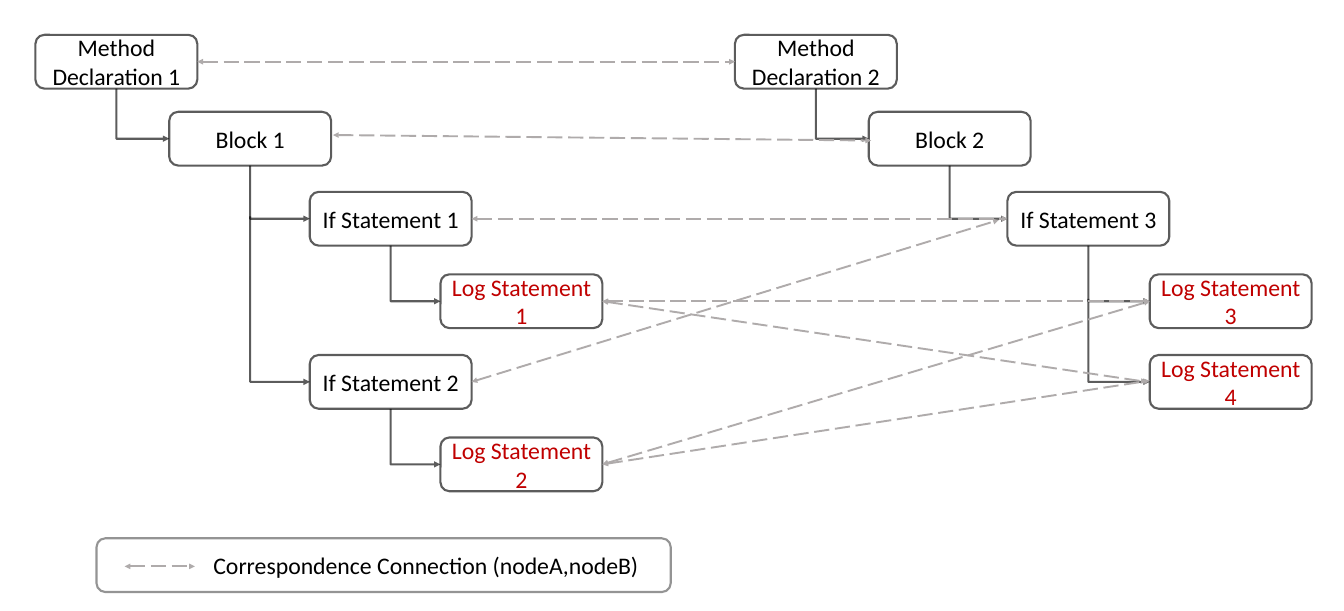
from dataclasses import dataclass

from lxml.etree import SubElement
from pptx import Presentation
from pptx.dml.color import RGBColor
from pptx.enum.dml import MSO_LINE
from pptx.enum.shapes import MSO_CONNECTOR, MSO_SHAPE
from pptx.enum.text import MSO_ANCHOR, PP_ALIGN
from pptx.oxml.ns import qn
from pptx.util import Inches, Pt


@dataclass(frozen=True)
class Theme:
    font: str = "Calibri"
    size: float = 28
    text: str = "000000"
    log_text: str = "C00000"
    tree_line: str = "000000"
    legend_line: str = "595959"
    link_line: str = "AFABAB"
    tree_width: float = 2.5
    link_width: float = 2.25
    line_opacity: int = 63


THEME = Theme()
NODE_WIDTH, NODE_HEIGHT = 2.65, 0.88
BRANCH_OVERLAP = 0.04

# name: (left, top)
NODES = {
    "Method\nDeclaration 1": (0.58, 0.57),
    "Block 1": (2.77, 1.83),
    "If Statement 1": (5.07, 3.14),
    "Log Statement 1": (7.21, 4.49),
    "If Statement 2": (5.07, 5.81),
    "Log Statement 2": (7.21, 7.16),
    "Method\nDeclaration 2": (12.03, 0.57),
    "Block 2": (14.22, 1.83),
    "If Statement 3": (16.49, 3.14),
    "Log Statement 3": (18.82, 4.49),
    "Log Statement 4": (18.82, 5.81),
}

CHILDREN = {
    "Method\nDeclaration 1": ["Block 1"],
    "Block 1": ["If Statement 1", "If Statement 2"],
    "If Statement 1": ["Log Statement 1"],
    "If Statement 2": ["Log Statement 2"],
    "Method\nDeclaration 2": ["Block 2"],
    "Block 2": ["If Statement 3"],
    "If Statement 3": ["Log Statement 3", "Log Statement 4"],
}

# (left node, right node, shift of the start, shift of the end)
LINKS = [
    ("Method\nDeclaration 1", "Method\nDeclaration 2", (0, 0), (0, 0)),
    ("Block 1", "Block 2", (0.03, -0.06), (0.04, 0.03)),
    ("If Statement 1", "If Statement 3", (0, 0), (0, 0)),
    ("If Statement 2", "If Statement 3", (0, 0), (-0.14, 0.02)),
    ("Log Statement 1", "Log Statement 3", (0, 0), (0, 0)),
    ("Log Statement 1", "Log Statement 4", (0, 0), (-0.05, 0)),
    ("Log Statement 2", "Log Statement 3", (0, 0), (0, 0)),
    ("Log Statement 2", "Log Statement 4", (0, 0), (0, -0.02)),
]


def style_line(line, color, width, opacity=100):
    line.color.rgb = RGBColor.from_string(color)
    line.width = Pt(width)
    if opacity < 100:
        fill_color = line._get_or_add_ln().find(f".//{qn('a:srgbClr')}")
        SubElement(fill_color, qn("a:alpha"), val=str(opacity * 1000))


def add_arrowheads(line, *ends):
    for end in ends:
        SubElement(line._get_or_add_ln(), qn(f"a:{end}"), type="triangle")


def write_text(shape, text, color=THEME.text, align=PP_ALIGN.CENTER, indent=0.1):
    frame = shape.text_frame
    frame.word_wrap = True
    frame.vertical_anchor = MSO_ANCHOR.MIDDLE
    frame.margin_left = Inches(indent)
    frame.text = text
    for para in frame.paragraphs:
        para.alignment = align
        font = para.font
        for span in para.runs:
            font = span.font
            font.name = THEME.font
            font.size = Pt(THEME.size)
            font.color.rgb = RGBColor.from_string(color)


def add_box(page, left, top, width, text, line_color=THEME.tree_line, **text_format):
    box = page.shapes.add_shape(
        MSO_SHAPE.ROUNDED_RECTANGLE,
        Inches(left), Inches(top), Inches(width), Inches(NODE_HEIGHT),
    )
    box.shadow.inherit = False
    box.fill.background()
    style_line(box.line, line_color, THEME.tree_width, THEME.line_opacity)
    write_text(box, text, **text_format)


def add_line(page, kind, start, end):
    points = [Inches(value) for value in (*start, *end)]
    connector = page.shapes.add_connector(kind, *points)
    SubElement(connector._element.spPr, qn("a:effectLst"))
    return connector


def add_branch(page, start, end):
    """Draw an arrow that runs down from start, then right to end."""
    (x1, y1), (x2, y2) = start, end
    middle_x, middle_y = (x1 + x2) / 2, (y1 + y2) / 2
    half_width, half_height = (y2 - y1) / 2, (x2 - x1) / 2
    # The bend is a mirrored one-corner elbow, turned by 270 degrees.
    branch = add_line(
        page, MSO_CONNECTOR.ELBOW,
        (middle_x + half_width, middle_y - half_height),
        (middle_x - half_width, middle_y + half_height),
    )
    properties = branch._element.spPr
    properties.find(qn("a:xfrm")).set("rot", str(270 * 60000))
    properties.find(qn("a:prstGeom")).set("prst", "bentConnector2")
    style_line(branch.line, THEME.tree_line, THEME.tree_width, THEME.line_opacity)
    add_arrowheads(branch.line, "tailEnd")


def add_link(page, start, end):
    """Draw a dashed arrow with a head at both ends."""
    link = add_line(page, MSO_CONNECTOR.STRAIGHT, start, end)
    style_line(link.line, THEME.link_line, THEME.link_width)
    link.line.dash_style = MSO_LINE.LONG_DASH
    add_arrowheads(link.line, "headEnd", "tailEnd")


def node_point(name, across, down, shift=(0, 0)):
    """Return the point at the given fractions of a node's width and height."""
    left, top = NODES[name]
    return (left + across * NODE_WIDTH + shift[0],
            top + down * NODE_HEIGHT + shift[1])


def add_tree(page):
    for name, (left, top) in NODES.items():
        color = THEME.log_text if name.startswith("Log") else THEME.text
        add_box(page, left, top, NODE_WIDTH, name, color=color)
    for parent, children in CHILDREN.items():
        trunk_x, start_y = node_point(parent, 0.5, 1)
        for child in children:
            end = node_point(child, 0, 0.5)
            add_branch(page, (trunk_x, start_y), end)
            start_y = end[1] - BRANCH_OVERLAP


def add_links(page):
    for left_node, right_node, start_shift, end_shift in LINKS:
        add_link(page, node_point(left_node, 1, 0.5, start_shift),
                 node_point(right_node, 0, 0.5, end_shift))


def add_legend(page):
    add_box(page, 1.58, 8.81, 9.4, "Correspondence Connection (nodeA,nodeB)",
            line_color=THEME.legend_line, align=PP_ALIGN.LEFT, indent=1.87)
    add_link(page, (2.04, 9.27), (3.19, 9.27))


def main():
    deck = Presentation()
    deck.slide_width, deck.slide_height = Inches(22), Inches(10)
    page = deck.slides.add_slide(deck.slide_layouts[6])
    add_tree(page)
    add_links(page)
    add_legend(page)
    deck.save("out.pptx")


if __name__ == "__main__":
    main()
